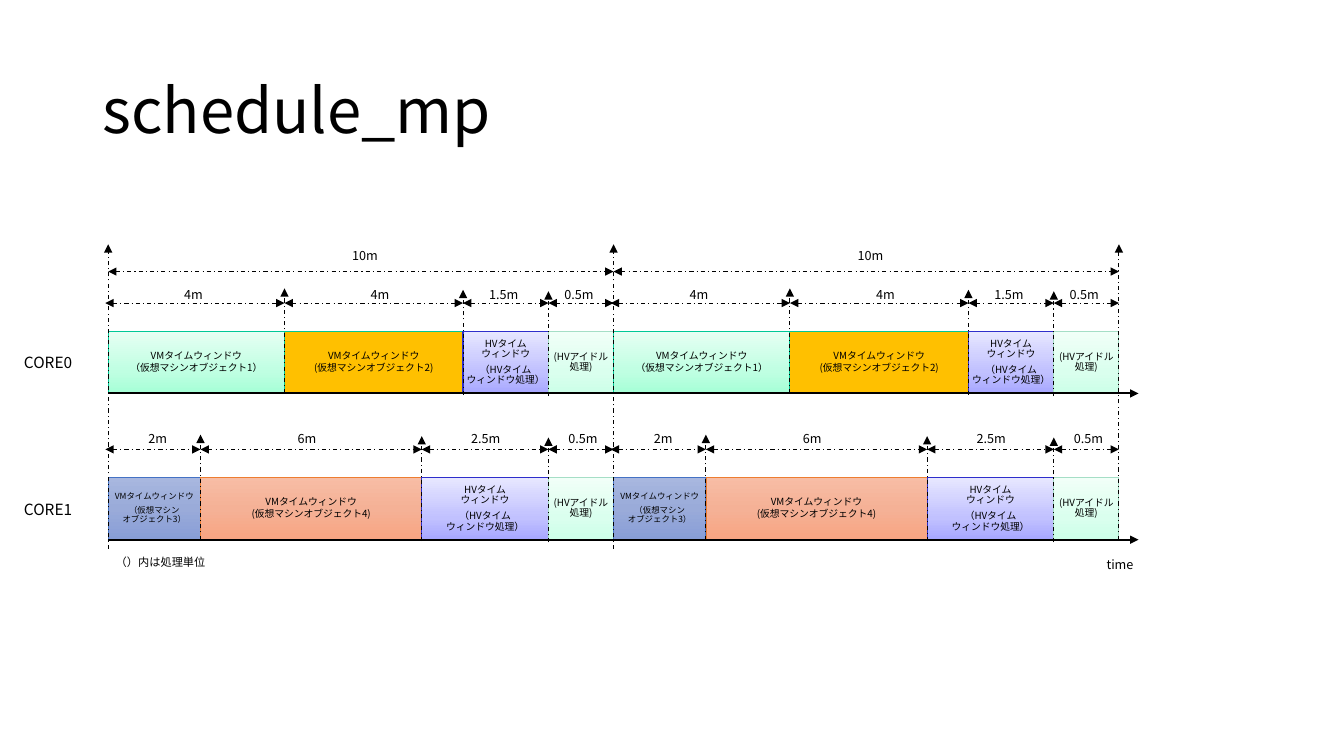
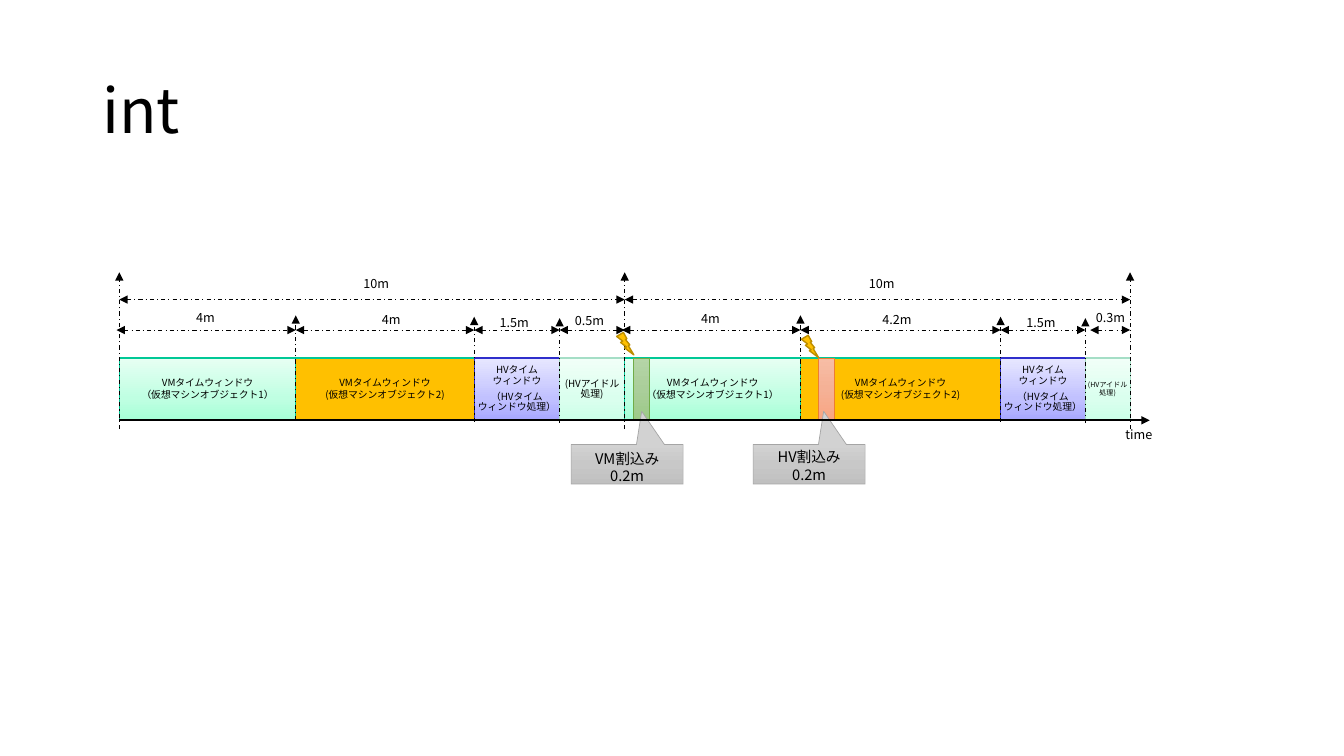
import pptx
import pptx.util
import pptx.dml.color
import pptx.enum.dml
import pptx.enum.shapes
import pptx.enum.text
import pptx.oxml.ns
from dataclasses import dataclass
from lxml import etree

Pt = pptx.util.Pt
qn = pptx.oxml.ns.qn
SHAPE = pptx.enum.shapes.MSO_SHAPE
ALIGN = pptx.enum.text.PP_ALIGN
ANCHOR = pptx.enum.text.MSO_ANCHOR


# Theme: a fill is one colour, or (angle, (position, colour)...)
@dataclass(frozen=True)
class Theme:
    font: str = "Noto Sans CJK JP"
    ink: str = "000000"
    title: float = 44
    core: float = 11
    callout: float = 10.5
    label: float = 9
    note: float = 8
    window: float = 7
    thin: float = 0.75
    axis: float = 1.5
    amber: str = "FFC000"
    amber_line: str = "BD8E00"
    teal_line: str = "00C896"
    mint: tuple = (270, (0, "A5FFD6"), (35, "BFFFE2"), (100, "E7FFF3"))
    pale: tuple = (270, (0, "CCFFE8"), (35, "DAFFEE"), (100, "F1FFF8"))
    pale_line: str = "A5DEC6"
    violet: tuple = (270, (0, "A7A7FF"), (35, "C1C1FF"), (100, "E7E7FF"))
    violet_line: str = "2E2ECB"
    blue: tuple = (90, (0, "A8B7DF"), (50, "9AABD9"), (100, "889ED7"))
    blue_line: str = "4472C4"
    orange: tuple = (90, (0, "F7BDA5"), (50, "F5B196"), (100, "F8A582"))
    orange_line: str = "ED7D31"
    green: tuple = (90, (0, "B5D5A7"), (50, "AACE9A"), (100, "9CC987"))
    green_line: str = "70AD47"
    grey: tuple = (90, (0, "D2D2D2"), (50, "C8C8C8"), (100, "C0C0C0"))
    grey_line: str = "A5A5A5"


T = Theme()

# Window kinds: paragraphs, fill, line colour, line width
VM = "VMタイムウィンドウ"
KINDS = {
    "vm1": ((VM, "（仮想マシンオブジェクト1）"), T.mint, T.teal_line, 0.75),
    "vm2": ((VM, "(仮想マシンオブジェクト2)"), T.amber, T.teal_line, 0.75),
    "vm3": ((VM, "（仮想マシン\nオブジェクト3）"), T.blue, T.blue_line, 0.5),
    "vm4": ((VM, "(仮想マシンオブジェクト4)"), T.orange, T.orange_line, 0.5),
    "hv": (("HVタイム\nウィンドウ", "（HVタイム\nウィンドウ処理）"), T.violet, T.violet_line, 0.75),
    "idle": (("(HVアイドル\n処理)",), T.pale, T.pale_line, 0.75),
}

# Windows of one period: kind, width, duration, label shift, label rise, type size
CORE0 = [("vm1", 126, "4m", -2, 34, T.window), ("vm2", 127.5, "4m", 4.5, 34, T.window),
         ("hv", 61, "1.5m", -1.5, 34, T.window), ("idle", 46.5, "0.5m", -1.5, 34, T.window)]
CORE1 = [("vm3", 66, "2m", 2.5, 35.5, 6), ("vm4", 158, "6m", -3, 35.5, T.window),
         ("hv", 90.5, "2.5m", 0.5, 35.5, T.window), ("idle", 46.5, "0.5m", 1.5, 35.5, T.window)]
BEFORE = [("vm1", 126, "4m", -1.5, 36.5, T.window), ("vm2", 127.5, "4m", 4.5, 35.5, T.window),
          ("hv", 61, "1.5m", -2, 33, T.window), ("idle", 46.5, "0.5m", -2, 34.5, T.window)]
AFTER = [("vm1", 125.5, "4m", -1.5, 36, T.window), ("vm2", 143, "4.2m", -2.5, 35.5, T.window),
         ("hv", 60.5, "1.5m", -1.5, 33, T.window), ("idle", 32, "0.3m", 2, 36.5, 5)]

# Slides: tracks are (bar top, periods); marks are (top, bottoms of the period lines)
SLIDES = [
    dict(title="schedule_mp", left=77.25, marks=(174.5, (392, 392, 385.5)),
         tracks=[(236.5, (CORE0, CORE0)), (341, (CORE1, CORE1))],
         time=(800, 395.5),
         notes=[("CORE0", 10, 249, 52, T.core), ("CORE1", 10, 353.5, 52, T.core),
                ("（）内は処理単位", 75.5, 393, 79, T.note)],
         interrupts=[]),
    dict(title="int", left=85.25, marks=(194.5, (306.5, 306.5, 306.5)),
         tracks=[(255.75, (BEFORE, AFTER))],
         time=(813.5, 302.5), notes=[],
         # text, strip left, fill, line, callout left, bolt left and top, line spacing
         interrupts=[("HV割込み", 584.5, T.orange, T.orange_line, 538, (572.5, 239.5), 0.9),
                     ("VM割込み", 452.25, T.green, T.green_line, 408, (440.5, 237.5), 1)]),
]
DELAY = "0.2m"
PERIOD, PERIOD_LABEL = 361, "10m"
BAR_H, LABEL_W, LABEL_H = 44.5, 47.5, 21
SPAN_RISE, TICK_RISE, TICK_LEN = 20, 30.5, 75
AXIS_LEN = 736


def rgb(code):
    return pptx.dml.color.RGBColor.from_string(code)


def write(tf, paragraphs, size, align=None, spacing=None, gap=False):
    for i, text in enumerate(paragraphs):
        p = tf.paragraphs[0] if i == 0 else tf.add_paragraph()
        p.alignment = align
        if spacing:
            p.line_spacing = spacing
        if gap:
            before = etree.SubElement(p._p.get_or_add_pPr(), qn("a:spcBef"))
            etree.SubElement(before, qn("a:spcPct"), val="20000")
        for j, line in enumerate(text.split("\n")):
            if j:
                p.add_line_break()
            r = p.add_run()
            r.text = line
            r.font.size = Pt(size)
            r.font.color.rgb = rgb(T.ink)
            r.font.name = T.font
            etree.SubElement(r._r.get_or_add_rPr(), qn("a:ea"), typeface=T.font)


def paint(sp, fill):
    if isinstance(fill, str):
        sp.fill.solid()
        sp.fill.fore_color.rgb = rgb(fill)
        return
    angle, *stops = fill
    sp.fill.gradient()
    sp.fill.gradient_angle = 360 - angle
    stop_list = sp._element.spPr.find(qn("a:gradFill")).find(qn("a:gsLst"))
    for old in list(stop_list):
        stop_list.remove(old)
    for pos, code in stops:
        gs = etree.SubElement(stop_list, qn("a:gs"), pos=str(pos * 1000))
        etree.SubElement(gs, qn("a:srgbClr"), val=code)


def add_box(s, shape, x, y, w, h, fill, line, width):
    sp = s.shapes.add_shape(shape, Pt(x), Pt(y), Pt(w), Pt(h))
    sp.shadow.inherit = False
    paint(sp, fill)
    sp.line.color.rgb = rgb(line)
    sp.line.width = Pt(width)
    return sp


def add_arrow(s, x1, y1, x2, y2, width=T.thin, dashed=True, both=False):
    c = s.shapes.add_connector(pptx.enum.shapes.MSO_CONNECTOR.STRAIGHT,
                               Pt(x1), Pt(y1), Pt(x2), Pt(y2))
    c.line.color.rgb = rgb(T.ink)
    c.line.width = Pt(width)
    if dashed:
        c.line.dash_style = pptx.enum.dml.MSO_LINE.DASH_DOT
    ln = c.line._get_or_add_ln()
    for end in ("a:headEnd", "a:tailEnd") if both else ("a:tailEnd",):
        etree.SubElement(ln, qn(end), type="triangle")
    etree.SubElement(c._element.spPr, qn("a:effectLst"))


def add_label(s, text, center, y):
    sp = s.shapes.add_textbox(Pt(center - LABEL_W / 2), Pt(y), Pt(LABEL_W), Pt(LABEL_H))
    sp.text_frame.word_wrap = False
    write(sp.text_frame, [text], T.label, ALIGN.CENTER, 0.9, gap=True)


def add_note(s, text, x, y, w, size):
    sp = s.shapes.add_textbox(Pt(x), Pt(y), Pt(w), Pt(LABEL_H if size == T.core else 17))
    sp.text_frame.word_wrap = False
    sp.text_frame.auto_size = pptx.enum.text.MSO_AUTO_SIZE.SHAPE_TO_FIT_TEXT
    write(sp.text_frame, [text], size)


def add_title(s, text):
    sp = s.shapes.title
    sp.left, sp.top, sp.width, sp.height = Pt(66), Pt(28.75), Pt(828), Pt(104.5)
    tf = sp.text_frame
    tf.auto_size = pptx.enum.text.MSO_AUTO_SIZE.NONE
    tf.vertical_anchor = ANCHOR.MIDDLE
    write(tf, [text], T.title, ALIGN.LEFT, 0.9)


def add_track(s, left, top, periods):
    # Place every window once, then draw bars below arrows
    placed = []
    for n, windows in enumerate(periods):
        x = left + n * PERIOD
        for i, window in enumerate(windows):
            placed.append((i, x, window))
            x += window[1]
    for i, x, (kind, w, _, _, _, size) in placed:
        texts, fill, line, width = KINDS[kind]
        sp = add_box(s, SHAPE.RECTANGLE, x, top, w, BAR_H, fill, line, width)
        sp.text_frame.word_wrap = False
        write(sp.text_frame, texts, size, ALIGN.CENTER, 0.9, gap=True)
    for i, x, (_, w, duration, shift, rise, _) in placed:
        start = x - 2 if i == 0 else x + 3.5 if w < 40 else x
        add_arrow(s, start, top - SPAN_RISE, x + w, top - SPAN_RISE, both=True)
        add_label(s, duration, x + w / 2 + shift, top - rise)
        if i:
            tick = top - TICK_RISE + i - 1
            add_arrow(s, x, tick + TICK_LEN, x, tick)


def add_periods(s, left, top, bottoms):
    for n, bottom in enumerate(bottoms):
        x = left + n * PERIOD
        add_arrow(s, x, bottom, x, top)
        if n < len(bottoms) - 1:
            add_arrow(s, x, top + 19.5, x + PERIOD, top + 19.5, both=True)
            add_label(s, PERIOD_LABEL, x + PERIOD / 2 + 3, top)


def add_interrupt(s, top, name, x, fill, line, callout_x, bolt, spacing):
    add_box(s, SHAPE.RECTANGLE, x, top, 11.75, BAR_H, fill, line, 0.5)
    sp = add_box(s, SHAPE.RECTANGULAR_CALLOUT, callout_x, 317.5, 80, 28.25,
                 T.grey, T.grey_line, 0.5)
    sp.adjustments[0], sp.adjustments[1] = 0.13, -1.34
    sp.text_frame.vertical_anchor = ANCHOR.TOP
    sp.text_frame.word_wrap = spacing == 1
    write(sp.text_frame, [name, DELAY], T.callout, ALIGN.CENTER, spacing, gap=spacing < 1)
    add_box(s, SHAPE.LIGHTNING_BOLT, *bolt, 12.25, 16, T.amber, T.amber_line, 1)


def build(prs, spec_):
    s = prs.slides.add_slide(prs.slide_layouts[5])
    left = spec_["left"]
    add_title(s, spec_["title"])
    for top, periods in spec_["tracks"]:
        add_track(s, left, top, periods)
    add_periods(s, left, *spec_["marks"])
    for interrupt in spec_["interrupts"]:
        add_interrupt(s, spec_["tracks"][0][0], *interrupt)
    # Time axes
    for top, _ in spec_["tracks"]:
        y = top + BAR_H
        add_arrow(s, left, y, left + AXIS_LEN, y, T.axis, dashed=False)
    add_label(s, "time", *spec_["time"])
    for note in spec_["notes"]:
        add_note(s, *note)


def main():
    prs = pptx.Presentation()
    prs.slide_width, prs.slide_height = Pt(960), Pt(540)
    for content in SLIDES:
        build(prs, content)
    prs.save("out.pptx")


if __name__ == "__main__":
    main()
